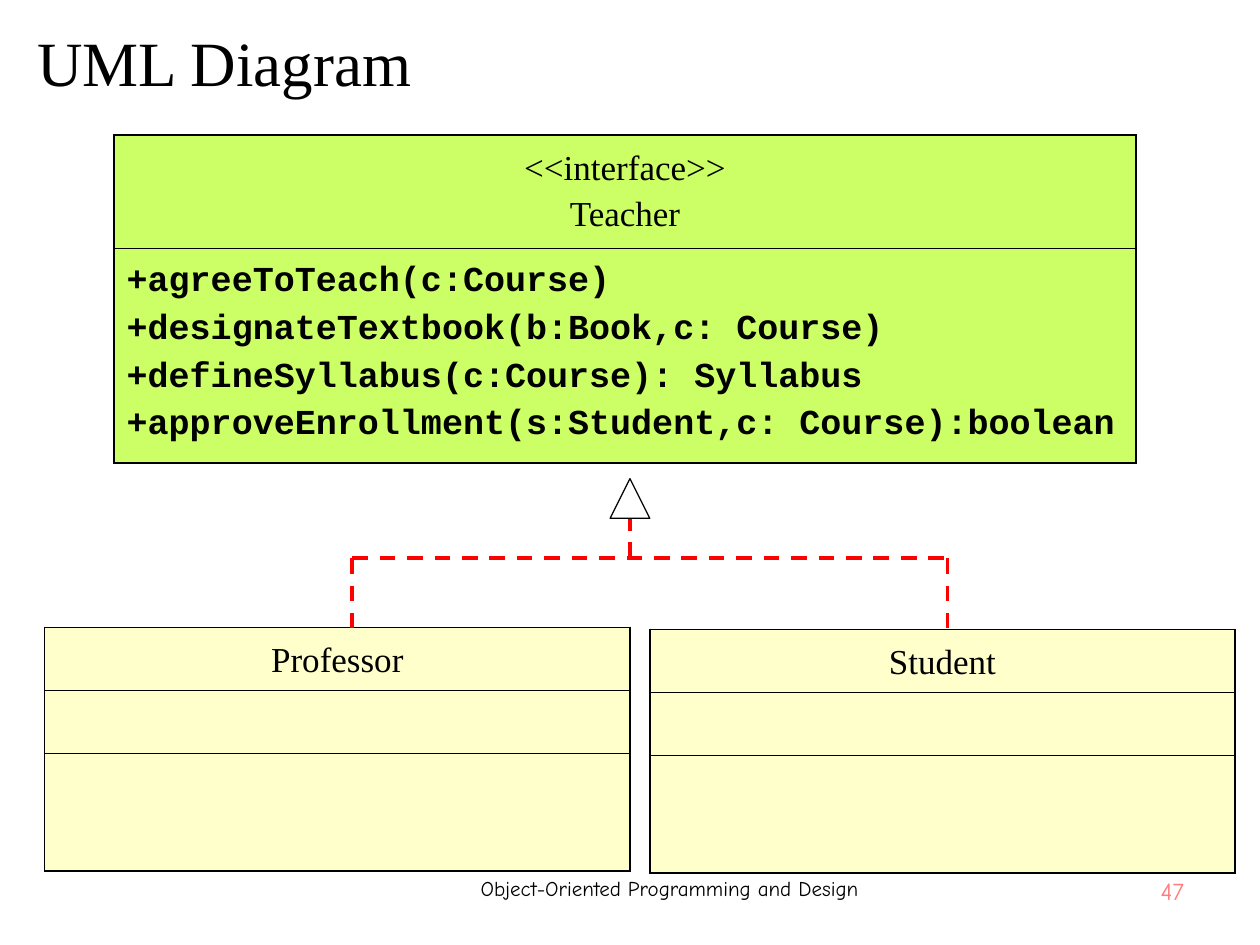
from lxml.etree import SubElement
from pptx import Presentation
from pptx.dml.color import RGBColor
from pptx.enum.dml import MSO_LINE_DASH_STYLE as Dash
from pptx.enum.shapes import MSO_CONNECTOR as Connector, MSO_SHAPE as Shape
from pptx.enum.text import MSO_ANCHOR as Anchor, MSO_AUTO_SIZE as AutoSize, PP_ALIGN as Align
from pptx.oxml import parse_xml
from pptx.oxml.ns import nsdecls, qn
from pptx.util import Cm, Pt

BLACK = RGBColor(0x00, 0x00, 0x00)
RED = RGBColor(0xFF, 0x00, 0x00)
PINK = RGBColor(0xFF, 0x7C, 0x80)
LIME = RGBColor(0xCC, 0xFF, 0x66)
CREAM = RGBColor(0xFF, 0xFF, 0xCC)

NAME_FONT = {"name": "Times New Roman", "size": Pt(20), "bold": False}
METHOD_FONT = {"name": "Courier New", "size": Pt(20), "bold": True}
OUTER, INNER = 1.08, 0.45  # border widths in points

METHODS = [
    "+agreeToTeach(c:Course)",
    "+designateTextbook(b:Book,c: Course)",
    "+defineSyllabus(c:Course): Syllabus",
    "+approveEnrollment(s:Student,c: Course):boolean",
]


def write(text_frame, lines, align, font_format, color=BLACK, spacing=None):
    """Put one paragraph per line, all with the same format."""
    for index, line in enumerate(lines):
        paragraph = text_frame.add_paragraph() if index else text_frame.paragraphs[0]
        paragraph.alignment = align
        paragraph.line_spacing = spacing
        run = paragraph.add_run()
        run.text = line
        for name, value in font_format.items():
            setattr(run.font, name, value)
        run.font.color.rgb = color


def add_title(slide, box, text):
    title = slide.shapes.title
    title.left, title.top, title.width, title.height = map(Cm, box)
    frame = title.text_frame
    frame.auto_size = AutoSize.NONE
    frame.vertical_anchor = Anchor.MIDDLE
    write(frame, [text], Align.LEFT, {"name": "Times New Roman", "size": Pt(36)})


def add_footer(slide, box, text, align, size, color):
    frame = slide.shapes.add_textbox(*map(Cm, box)).text_frame
    frame.word_wrap = True
    write(frame, [text], align, {"name": "Comic Neue", "size": Pt(size)}, color)


def set_borders(cell, first, last):
    """Thick lines outside the class box, thin ones between compartments."""
    widths = {"L": OUTER, "R": OUTER,
              "T": OUTER if first else INNER, "B": OUTER if last else INNER}
    properties = cell._tc.get_or_add_tcPr()
    for index, (side, width) in enumerate(widths.items()):
        properties.insert(index, parse_xml(
            f'<a:ln{side} {nsdecls("a")} w="{Pt(width)}"><a:solidFill>'
            f'<a:srgbClr val="{BLACK}"/></a:solidFill></a:ln{side}>'))


def add_class_box(slide, left, top, width, heights, fill, names, methods=()):
    """A UML class: names in the first compartment, methods in the last."""
    table = slide.shapes.add_table(
        len(heights), 1, Cm(left), Cm(top), Cm(width), Cm(sum(heights))).table
    table.first_row = table.horz_banding = False
    last = len(heights) - 1
    for index, height in enumerate(heights):
        table.rows[index].height = Cm(height)
        cell = table.cell(index, 0)
        cell.fill.solid()
        cell.fill.fore_color.rgb = fill
        set_borders(cell, index == 0, index == last)
    write(table.cell(0, 0).text_frame, names, Align.CENTER, NAME_FONT, spacing=1.2)
    write(table.cell(last, 0).text_frame, methods, Align.LEFT, METHOD_FONT, spacing=1.2)


def add_realization(slide, left, top, width, height):
    """Hollow arrowhead over a dashed fork that reaches both classes."""
    head_width, head_height, fork_drop = 0.8, 0.8, 1.6
    center, right, bottom = 12.7, left + width, top + height
    fork = top + fork_drop
    segments = [
        (left, fork, right, fork),
        (left, fork, left, bottom),
        (right, fork, right, bottom),
        (center, fork, center, top + head_height),
    ]
    for segment in segments:
        line = slide.shapes.add_connector(Connector.STRAIGHT, *map(Cm, segment))
        line.line.color.rgb = RED
        line.line.width = Pt(2.25)
        line.line.dash_style = Dash.DASH
        SubElement(line._element.spPr, qn("a:effectLst"))

    head = slide.shapes.add_shape(
        Shape.ISOSCELES_TRIANGLE, Cm(center - head_width / 2), Cm(top),
        Cm(head_width), Cm(head_height))
    head.shadow.inherit = False
    head.fill.background()
    head.line.color.rgb = BLACK
    head.line.width = Pt(0.75)


def main():
    presentation = Presentation()
    presentation.slide_width, presentation.slide_height = Cm(25.4), Cm(19.05)
    slide = presentation.slides.add_slide(presentation.slide_layouts[5])

    # Slide number, footer and title
    add_footer(slide, (21.3, 17.53, 2.82, 1.14), "47", Align.RIGHT, 14, PINK)
    add_footer(slide, (7.7, 17.53, 11.6, 1.14),
               "Object-Oriented Programming and Design", Align.CENTER, 12, BLACK)
    add_title(slide, (0.5, 0.13, 24.4, 2.2), "UML Diagram")

    # Interface and the classes that realize it
    add_class_box(slide, 2.3, 2.72, 20.6, (2.29, 4.32), LIME,
                  ["<<interface>>", "Teacher"], METHODS)
    for name, left, top in (("Professor", 0.9, 12.65), ("Student", 13.1, 12.69)):
        add_class_box(slide, left, top, 11.8, (1.27, 1.27, 2.37), CREAM, [name])
    add_realization(slide, 7.1, 9.65, 12, 3)

    presentation.save("out.pptx")


if __name__ == "__main__":
    main()
